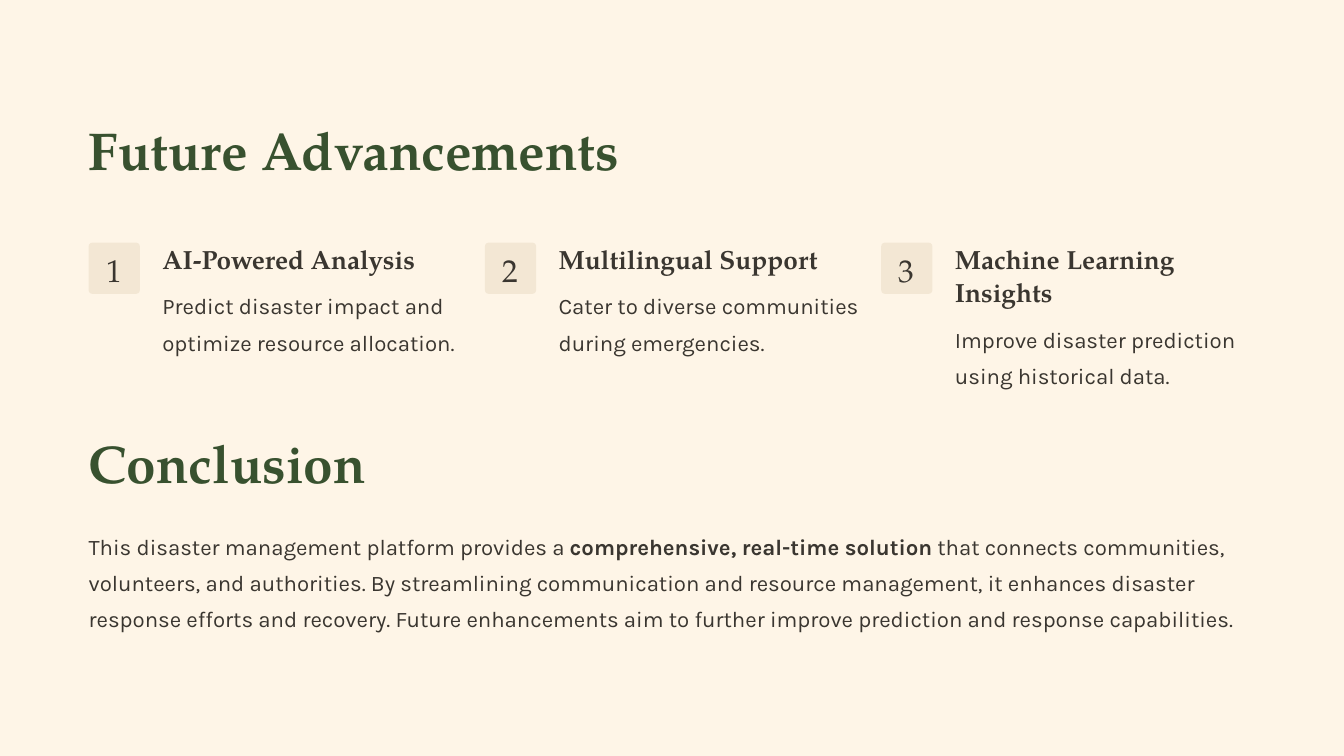
from pptx import Presentation
from pptx.dml.color import RGBColor
from pptx.enum.shapes import MSO_SHAPE
from pptx.enum.text import PP_ALIGN
from pptx.util import Pt

ROUNDED = MSO_SHAPE.ROUNDED_RECTANGLE
LEFT, CENTER = PP_ALIGN.LEFT, PP_ALIGN.CENTER

SERIF, SANS = "TeX Gyre Pagella", "Karla"
CREAM, SAND, GREEN, INK = "FEF5E7", "F3E7D4", "38512F", "3A3630"

MARGIN = 95
CONTENT_WIDTH = 1249
TILE_TOP, TILE_SIZE = 260, 54.8
COLUMN_STEP = 424.6
COLUMN_TEXT_INDENT, COLUMN_TEXT_WIDTH = 79, 321
NUMBER_WIDTH = 20
TITLE_LINE = 35.6

# Title, number of title lines, description
ADVANCEMENTS = [
    ("AI-Powered Analysis", 1,
     "Predict disaster impact and optimize resource allocation."),
    ("Multilingual Support", 1,
     "Cater to diverse communities during emergencies."),
    ("Machine Learning Insights", 2,
     "Improve disaster prediction using historical data."),
]

# Text, bold
CONCLUSION = [
    ("This disaster management platform provides a ", False),
    ("comprehensive, real-time solution", True),
    (" that connects communities, volunteers, and authorities. By streamlining "
     "communication and resource management, it enhances disaster response "
     "efforts and recovery. Future enhancements aim to further improve "
     "prediction and response capabilities.", False),
]


def color(hex_string):
    return RGBColor.from_string(hex_string)


def add_text(slide, box, runs, font, size, line, ink=INK, align=LEFT):
    """Add a one-paragraph text box; runs are (text, bold) pairs."""
    frame = slide.shapes.add_textbox(*map(Pt, box)).text_frame
    frame.word_wrap = True
    frame.margin_left = frame.margin_right = 0
    frame.margin_top = frame.margin_bottom = 0
    paragraph = frame.paragraphs[0]
    paragraph.alignment = align
    paragraph.line_spacing = Pt(line)
    paragraph.font.name = font
    paragraph.font.size = Pt(size)
    paragraph.font.color.rgb = color(ink)
    for text, bold in runs:
        run = paragraph.add_run()
        run.text = text
        run.font.bold = bold


def add_heading(slide, top, text):
    add_text(slide, (MARGIN, top, 598, 73.4), [(text, True)],
             SERIF, 56.9, 71.2, GREEN)


def add_body(slide, left, top, width, height, runs):
    add_text(slide, (left, top, width, height), runs, SANS, 23.8, 38.8)


def add_number_tile(slide, left, number):
    tile = slide.shapes.add_shape(
        ROUNDED, Pt(left), Pt(TILE_TOP), Pt(TILE_SIZE), Pt(TILE_SIZE))
    tile.adjustments[0] = 0.07
    tile.shadow.inherit = False
    tile.fill.solid()
    tile.fill.fore_color.rgb = color(SAND)
    tile.line.fill.background()
    number_left = left + (TILE_SIZE - NUMBER_WIDTH) / 2
    add_text(slide, (number_left, 275.8, NUMBER_WIDTH, 29),
             [(str(number), False)], SERIF, 33.7, 33.7, align=CENTER)


def add_advancement(slide, index, title, title_lines, description):
    left = MARGIN + index * COLUMN_STEP
    text_left = left + COLUMN_TEXT_INDENT
    extra = (title_lines - 1) * TITLE_LINE
    add_number_tile(slide, left, index + 1)
    add_text(slide, (text_left, 258.5, COLUMN_TEXT_WIDTH, 37.4 + extra),
             [(title, True)], SERIF, 28.1, TITLE_LINE)
    add_body(slide, text_left, 303.3 + extra, COLUMN_TEXT_WIDTH, 85,
             [(description, False)])


def main():
    presentation = Presentation()
    presentation.slide_width, presentation.slide_height = Pt(1440), Pt(810)
    slide = presentation.slides.add_slide(presentation.slide_layouts[6])
    slide.background.fill.solid()
    slide.background.fill.fore_color.rgb = color(CREAM)

    add_heading(slide, 122.4, "Future Advancements")
    for index, advancement in enumerate(ADVANCEMENTS):
        add_advancement(slide, index, *advancement)
    add_heading(slide, 457.9, "Conclusion")
    add_body(slide, MARGIN, 560.9, CONTENT_WIDTH, 124, CONCLUSION)

    presentation.save("out.pptx")


if __name__ == "__main__":
    main()
